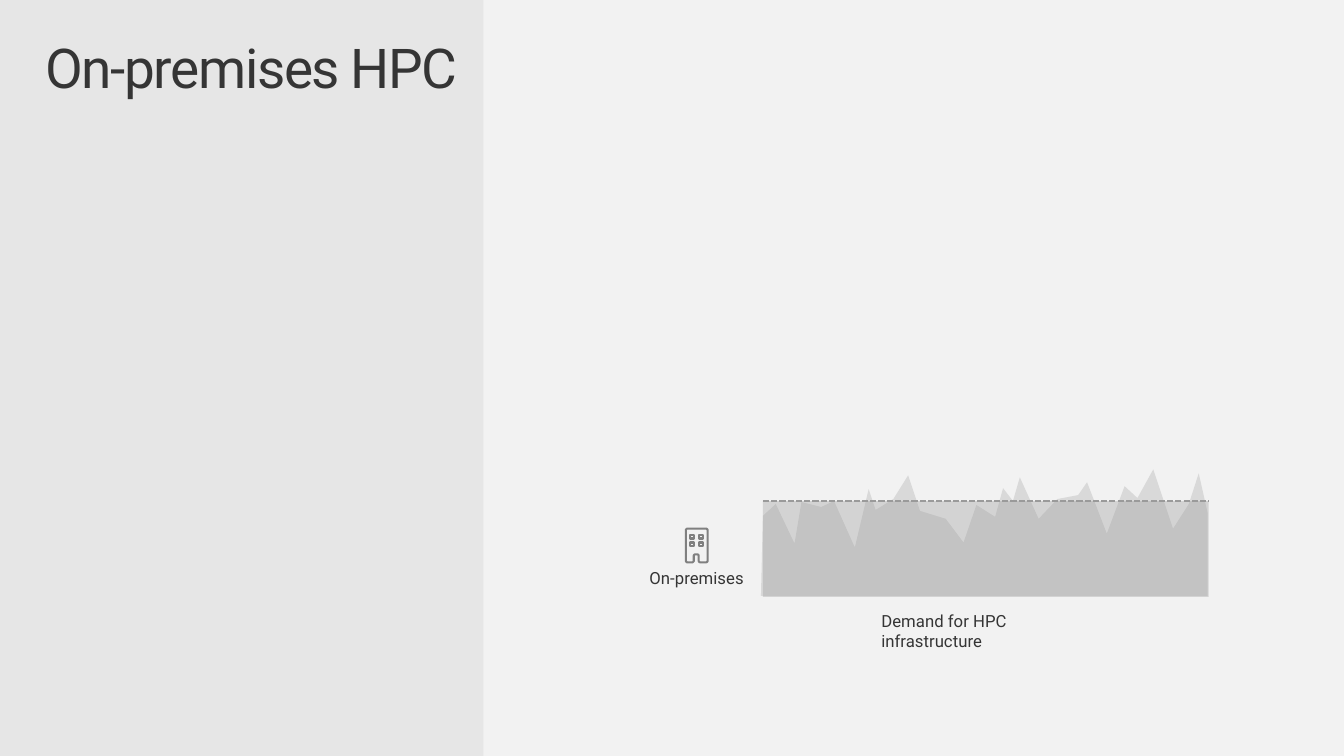
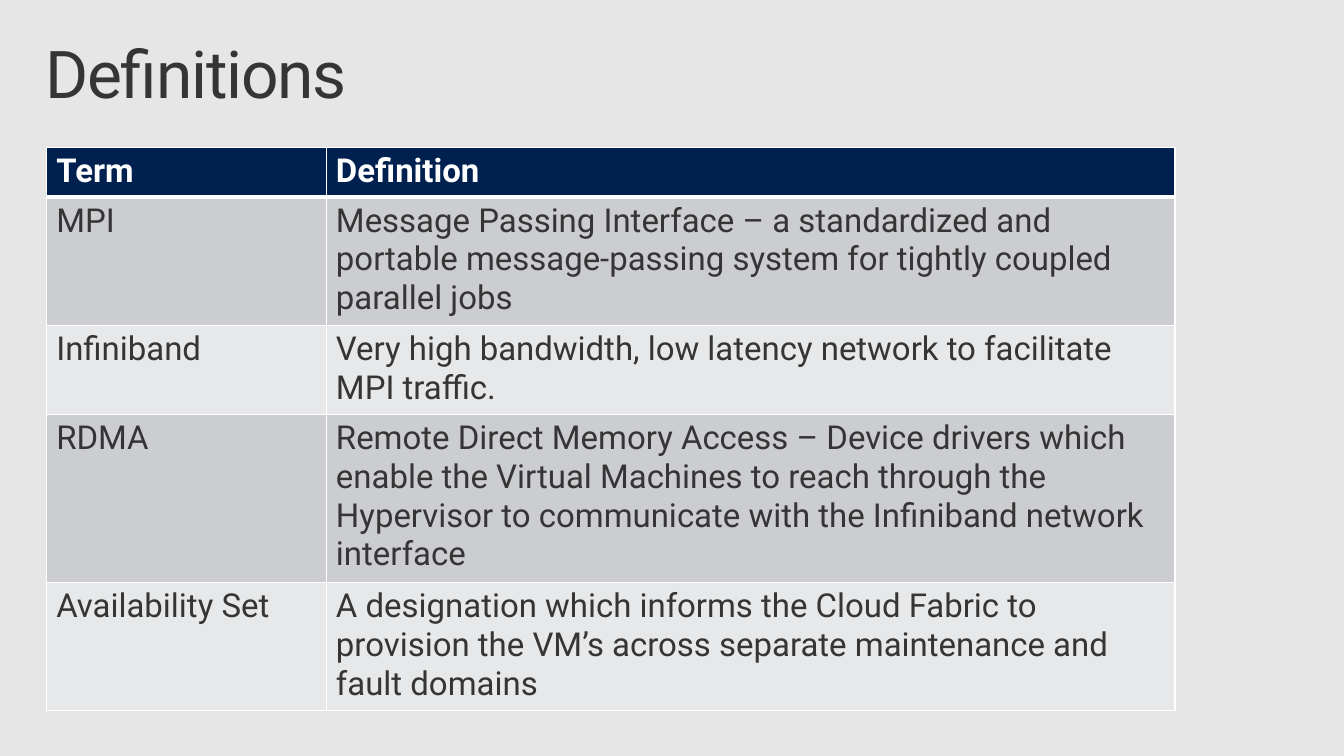
"""Build two slides: on-premises HPC demand and a table of HPC definitions."""
from dataclasses import dataclass

from lxml import etree
from pptx import Presentation, util as u
from pptx.dml.color import RGBColor
from pptx.enum import dml, shapes, text
from pptx.oxml import ns


@dataclass(frozen=True)
class Theme:
    font: str = "Roboto"
    background: str = "E6E6E6"
    panel: str = "F2F2F2"
    ink: str = "353535"
    icon: str = "808080"
    demand: str = "D9D9D9"
    capacity: str = "9A9A9A"
    header: str = "002050"
    band: str = "CCCDD0"
    plain: str = "E7E8E9"
    white: str = "FFFFFF"
    label_size: float = 12.2
    table_size: int = 24


SCALE = 9144
theme = Theme()


def px(*lengths):
    return [u.Emu(length * SCALE) for length in lengths]


def write(tf, words, size, color=theme.ink, bold=False):
    tf.word_wrap = True
    p = tf.paragraphs[0]
    r = p.add_run()
    r.text = words
    r.font.name = theme.font
    r.font.size = u.Pt(size)
    r.font.bold = bold
    r.font.color.rgb = RGBColor.from_string(color)
    return p, r


prs = Presentation()
prs.slide_width, prs.slide_height = px(1360, 765)
fill = prs.slide_master.background.fill
fill.solid()
fill.fore_color.rgb = RGBColor.from_string(theme.background)

demand_slide, terms_slide = [prs.slides.add_slide(prs.slide_layouts[6]) for _ in range(2)]

s = demand_slide
panel = s.shapes.add_shape(shapes.MSO_SHAPE.RECTANGLE, *px(489, 0, 871, 765))

sp = s.shapes.add_textbox(*px(882, 613, 252, 31))
write(sp.text_frame, "Demand for HPC infrastructure", theme.label_size)
sp.text_frame.margin_right = px(18)[0]

building = s.shapes.add_group_shape()
sp = building.shapes.add_textbox(*px(655, 575, 100, 22))
tf = sp.text_frame
tf.margin_left = tf.margin_top = tf.margin_right = tf.margin_bottom = 0
p, r = write(tf, "On-premises", theme.label_size)
p.alignment = text.PP_ALIGN.CENTER

outline = [
    (708, 569), (707, 568), (707, 562), (706, 561), (703, 561), (702, 562),
    (702, 568), (701, 569), (695, 569), (694, 568), (694, 536), (695, 535),
    (715, 535), (716, 536), (716, 568), (715, 569),
]
builder = building.shapes.build_freeform(*outline[0], scale=SCALE)
builder.add_line_segments(outline[1:], close=True)
icon_parts = [builder.convert_to_shape()]
for y in (549, 541):
    for x in (698, 707):
        icon_parts.append(building.shapes.add_shape(shapes.MSO_SHAPE.RECTANGLE, *px(x, y, 4, 4)))

peaks = [
    (772, 522), (785, 510), (804, 550), (811, 508), (831, 513), (844, 507),
    (865, 554), (879, 495), (886, 516), (904, 505), (919, 481), (931, 517),
    (957, 525), (975, 549), (988, 511), (1007, 523), (1015, 494), (1025, 507),
    (1032, 483), (1051, 525), (1070, 505), (1091, 501), (1100, 488), (1120, 540),
    (1138, 492), (1151, 504), (1167, 475), (1187, 535), (1203, 510), (1213, 479),
    (1222, 519), (1222, 603), (770, 603),
]
builder = s.shapes.build_freeform(*peaks[0], scale=SCALE)
builder.add_line_segments(peaks[1:], close=True)
demand = builder.convert_to_shape()
capacity = s.shapes.add_shape(shapes.MSO_SHAPE.RECTANGLE, *px(772, 507, 451, 97))

for sp, color in ((panel, theme.panel), (demand, theme.demand), (capacity, theme.capacity)):
    sp.shadow.inherit = False
    sp.fill.solid()
    sp.fill.fore_color.rgb = RGBColor.from_string(color)
    sp.line.fill.background()
for sp in icon_parts:
    sp.shadow.inherit = False
    sp.fill.background()
    sp.line.color.rgb = RGBColor.from_string(theme.icon)
    sp.line.width = u.Pt(1.5)

color = capacity.fill._xPr.find(ns.qn("a:solidFill"))[0]
etree.SubElement(color, ns.qn("a:alpha"), val="34000")

limit = s.shapes.add_connector(shapes.MSO_CONNECTOR.STRAIGHT, *px(772, 507, 1223, 507))
limit.line.color.rgb = RGBColor.from_string(theme.capacity)
limit.line.width = u.Pt(1.5)
limit.line.dash_style = dml.MSO_LINE.SQUARE_DOT
etree.SubElement(limit._element.spPr, ns.qn("a:effectLst"))

for s, title, width, size in (
    (demand_slide, "On-premises HPC", 459, 40),
    (terms_slide, "Definitions", 1300, 48),
):
    sp = s.shapes.add_textbox(*px(30, 32, width, 100))
    tf = sp.text_frame
    tf.margin_left, tf.margin_top, tf.margin_right, tf.margin_bottom = px(16, 10, 16, 10)
    p, r = write(tf, title, size)
    p.line_spacing = 0.9
    r.font._element.set("spc", "-100")

rows = [
    ("Term", "Definition"),
    ("MPI", "Message Passing Interface – a standardized and portable "
            "message-passing system for tightly coupled parallel jobs"),
    ("Infiniband", "Very high bandwidth, low latency network to facilitate MPI traffic."),
    ("RDMA", "Remote Direct Memory Access – Device drivers which enable the Virtual "
             "Machines to reach through the Hypervisor to communicate with the "
             "Infiniband network interface"),
    ("Availability Set", "A designation which informs the Cloud Fabric to provision the "
                         "VM’s across separate maintenance and fault domains"),
]
table = terms_slide.shapes.add_table(len(rows), 2, *px(47, 149, 1142, 490)).table
for column, width in zip(table.columns, px(283, 859)):
    column.width = width
for row, height in zip(table.rows, px(50, 127, 88, 167, 127)):
    row.height = height

for i, row in enumerate(rows):
    is_header = i == 0
    color = theme.header if is_header else (theme.plain, theme.band)[i % 2]
    for j, words in enumerate(row):
        cell = table.cell(i, j)
        write(cell.text_frame, words, theme.table_size,
              theme.white if is_header else theme.ink, is_header)
        tcPr = cell._tc.get_or_add_tcPr()
        for side in "LRTB":
            heavy = (side == "B" and i == 0) or (side == "T" and i == 1)
            ln = etree.SubElement(tcPr, ns.qn(f"a:ln{side}"), w=str(u.Pt(3 if heavy else 1)))
            solid = etree.SubElement(ln, ns.qn("a:solidFill"))
            etree.SubElement(solid, ns.qn("a:srgbClr"), val=theme.white)
        cell.fill.solid()
        cell.fill.fore_color.rgb = RGBColor.from_string(color)

prs.save("out.pptx")
